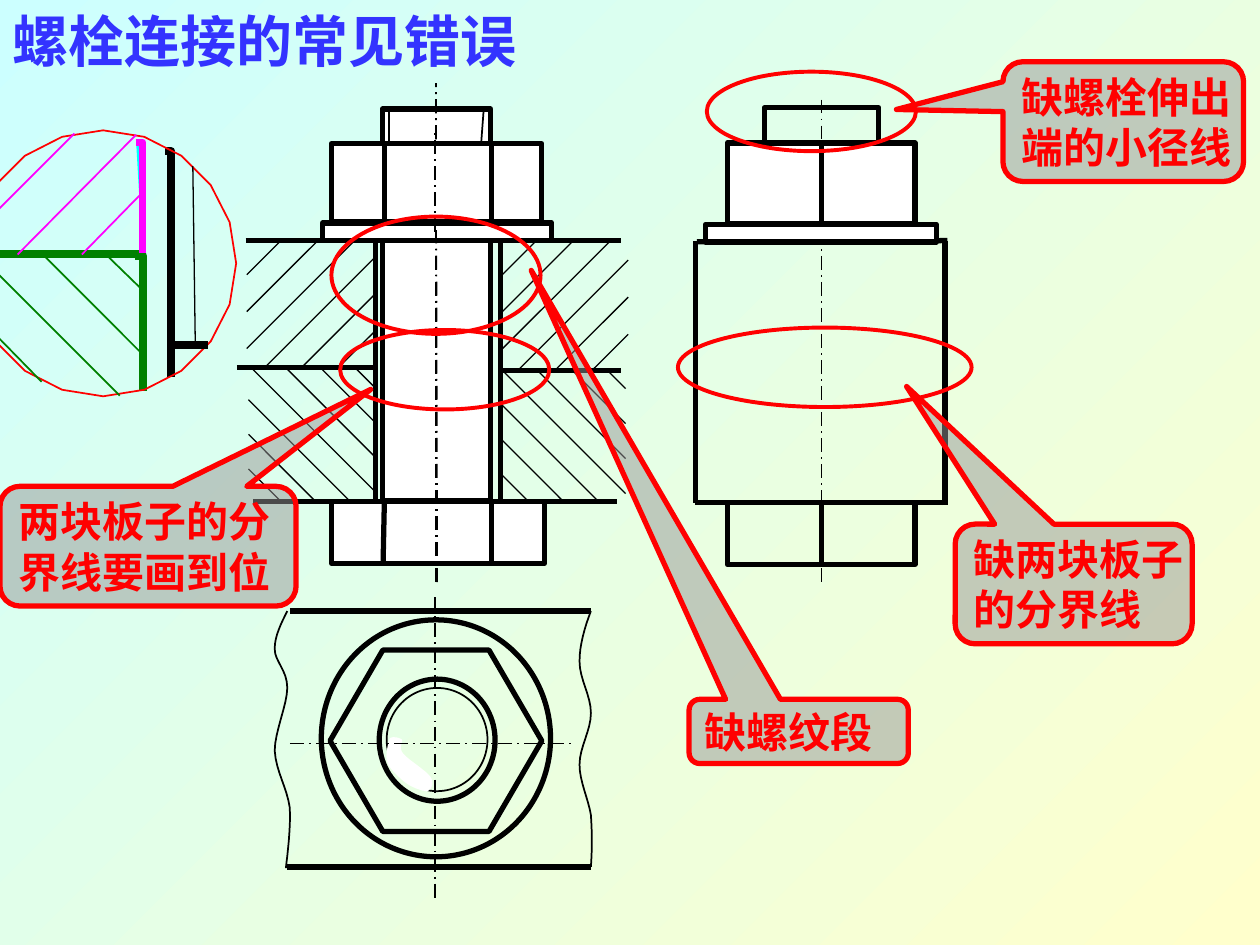
from math import cos, pi, sin
from pptx import Presentation
from pptx.dml.color import RGBColor
from pptx.enum.dml import MSO_LINE
from pptx.enum.shapes import MSO_CONNECTOR, MSO_SHAPE
from pptx.enum.text import MSO_ANCHOR, PP_ALIGN
from pptx.oxml.xmlchemy import OxmlElement
from pptx.util import Pt

RECT = MSO_SHAPE.RECTANGLE
OVAL = MSO_SHAPE.OVAL
HEXAGON = MSO_SHAPE.HEXAGON
CALLOUT = MSO_SHAPE.ROUNDED_RECTANGULAR_CALLOUT
LINE = MSO_CONNECTOR.STRAIGHT
DASH_DOT = MSO_LINE.LONG_DASH_DOT

COLORS = {
    "black": "000000", "white": "FFFFFF", "red": "FF0000", "green": "008000",
    "magenta": "FF00FF", "cyan": "00FFFF", "grey": "969696", "title": "3333FF",
    "bg_start": "CCFFFF", "bg_end": "FFFFCC",
}
RGB = {name: RGBColor.from_string(value) for name, value in COLORS.items()}

prs = Presentation()
prs.slide_width, prs.slide_height = Pt(720), Pt(540)
s = prs.slides.add_slide(prs.slide_layouts[6])
bg = s.background.fill
bg.gradient()
bg.gradient_angle = 315
for stop, name in zip(bg.gradient_stops, ("bg_start", "bg_end")):
    stop.color.rgb = RGB[name]


def style(sp, color, width, fill=None):
    sp.shadow.inherit = False
    if fill:
        sp.fill.solid()
        sp.fill.fore_color.rgb = RGB[fill]
    else:
        sp.fill.background()
    if color:
        sp.line.color.rgb = RGB[color]
        sp.line.width = Pt(width)
    else:
        sp.line.fill.background()


def draw(kind, a, b, c, d, width=3, color="black", fill=None, dash=None):
    box = [Pt(v) for v in (a, b, c, d)]
    if kind is LINE:
        sp = s.shapes.add_connector(LINE, *box)
        sp.line.color.rgb = RGB[color]
        sp.line.width = Pt(width)
        if dash:
            sp.line.dash_style = dash
        sp._element.spPr.append(OxmlElement("a:effectLst"))
    else:
        sp = s.shapes.add_shape(kind, *box)
        style(sp, color, width, fill)
    return sp


draw(OVAL, 221, 393.1, 57.6, 59, 1)

thread_gap = [
    (222.5, 422.6), (222.5, 420.5), (228.2, 421.2), (229.7, 422.6),
    (230.4, 424.1), (227.5, 427), (230.4, 430.6), (233.3, 434.2),
    (244.1, 440.6), (246.2, 444.2), (248.4, 447.8), (246.2, 451.4),
    (244.1, 452.2), (241.9, 452.2), (235.4, 450), (232.6, 447.8),
    (230.4, 446.4), (228.2, 444.2), (226.1, 442.1), (223.9, 439.9),
    (221.8, 437.8), (221, 434.2), (220.3, 431.3), (221.8, 424.8), (222.5, 422.6)]
left_break = [
    (164.2, 349.2), (160.6, 356.4), (157, 363.6), (157, 370.8),
    (157, 378), (164.2, 383), (164.2, 393.1), (164.2, 402.5),
    (157, 418.3), (157, 429.1), (157.7, 440.6), (164.2, 450.7),
    (165.6, 461.5), (166.3, 473), (164.2, 488.9), (163.4, 496.1)]
right_break = [
    (337.7, 349.2), (334.1, 358.6), (331.2, 368.6), (331.2, 378),
    (331.2, 388.1), (337.7, 397.4), (337.7, 407.5), (337.7, 417.6),
    (331.2, 427), (331.2, 437), (331.2, 446.4), (336.2, 456.5),
    (337.7, 465.8), (338.4, 475.9), (338.4, 485.3), (337.7, 495.4)]

outlines = []
for controls, color, fill in (
        (thread_gap, None, "white"), (left_break, "black", None),
        (right_break, "black", None)):
    curve = controls[:1]
    for i in range(0, len(controls) - 1, 3):
        for t in (k / 8 for k in range(1, 9)):
            weights = ((1 - t) ** 3, 3 * t * (1 - t) ** 2, 3 * t * t * (1 - t), t ** 3)
            curve.append(tuple(
                sum(w * q[axis] for w, q in zip(weights, controls[i:i + 4]))
                for axis in (0, 1)))
    outlines.append((curve, color, 1, fill))

detail_edge = [(59 + 76 * cos(k * pi / 10), 150.5 + 76 * sin(k * pi / 10))
               for k in range(21)]
outlines += [
    ([(82, 223.2), (82, 146.2), (77, 146.2)], "green", 4.5, None),
    ([(97.9, 215.3), (97.9, 86.4), (94.3, 86.4)], "black", 4.5, None),
    (detail_edge, "red", 1, None),
    ([(81.4, 144.7), (81.4, 81.4), (77.8, 81.4)], "magenta", 4.5, "cyan"),
]
for points, color, width, fill in outlines:
    points = [(Pt(x), Pt(y)) for x, y in points]
    builder = s.shapes.build_freeform(*points[0])
    builder.add_line_segments(points[1:], close=fill == "white")
    style(builder.convert_to_shape(), color, width, fill)

for row in (
        (-16.6, 145.4, 79.2, 145.4, 4.5, "green"),
        (-15.1, 133.9, 42.5, 76.3, 1, "magenta"),
        (10.1, 145.4, 77.8, 77, 1, "magenta"),
        (46.8, 145.4, 82, 109.4, 1, "magenta"),
        (23.8, 218.2, -7.9, 185.8, 1, "green"),
        (68.4, 226.1, -12.2, 145.4, 1, "green"),
        (82, 203, 24.5, 145.4, 1, "green"),
        (82, 166.3, 60.5, 145.4, 1, "green"),
        (97.9, 197.3, 118.8, 197.3, 4.5),
        (110.2, 95, 111.6, 197.3, 0.75),
        (140.4, 137.5, 355, 137.5), (144.7, 286.6, 352.8, 286.6),
        (135.4, 210.2, 213.1, 210.2), (285.8, 211.7, 355, 211.7),
        (285.8, 138.2, 285.8, 286.6), (214.6, 136.8, 214.6, 286.6),
        (165.6, 349.2, 337.7, 349.2), (164.2, 495.4, 337.7, 495.4)):
    draw(LINE, *row)

for slope, first, step, count, left, top, right, bottom in (
        (-1, 298, 21.1, 6, 141, 137, 214, 211),
        (-1, 444, 21.2, 6, 286, 137, 359, 210.5),
        (1, -7.2, -19.8, 7, 142, 211, 214, 286),
        (1, 135.4, -20, 7, 286, 211, 357.5, 286.5)):
    for k in range(count):
        offset = first + k * step
        low, high = sorted((slope * top + offset, slope * bottom + offset))
        x1, x2 = max(left, low), min(right, high)
        draw(LINE, x1, slope * (x1 - offset), x2, slope * (x2 - offset), 0.75)

for kind, *row in (
        (RECT, 218.5, 62.3, 61.9, 223.9, 3, "black", "white"),
        (RECT, 189.4, 286.6, 121.7, 35.3, 3, "black", "white"),
        (LINE, 222.5, 82.1, 222.5, 61.2, 1), (LINE, 275, 81.4, 276.5, 61.2, 1),
        (LINE, 249.8, 332.6, 249.1, 47.5, 1, "black", None, DASH_DOT),
        (LINE, 219.6, 288, 218.9, 322.6), (LINE, 280.8, 286.6, 280.8, 322.6),
        (RECT, 184.3, 127.4, 131, 10.1, 3, "black", "white"),
        (LINE, 165.6, 424.8, 326.2, 424.8, 1, "black", None, DASH_DOT),
        (LINE, 248.4, 341.3, 248.4, 513.4, 1, "black", None, DASH_DOT),
        (OVAL, 183.6, 354.2, 131, 135.4),
        (LINE, 249.1, 332.6, 249.1, 51.8, 1, "black", None, DASH_DOT),
        (OVAL, 216.7, 388.1, 66.2, 69.8),
        (RECT, 189.4, 82.1, 120.2, 44.6, 3, "black", "white"),
        (LINE, 219.6, 127.4, 219.6, 82.1), (LINE, 280.8, 127.4, 280.8, 82.1),
        (LINE, 248.4, 132.5, 248.4, 76.3, 1, "black", None, DASH_DOT),
        (LINE, 469.4, 56.9, 469.4, 333.4, 1, "black", None, DASH_DOT),
        (RECT, 436.7, 61.6, 65.5, 56.2),
        (LINE, 398.2, 138.2, 541.4, 137.5),
        (RECT, 403.2, 128.2, 131.8, 10.1, 3, "black", "white"),
        (LINE, 540, 288.7, 540, 137.5), (LINE, 397.4, 287.3, 397.4, 137.5),
        (LINE, 397.4, 287.3, 540, 287.3)):
    draw(kind, *row)

plan_nut = draw(HEXAGON, 188.6, 371.5, 121, 103.7)
plan_nut.adjustments[0] = 0.291

for top, height, fill in ((81.7, 46.1, "white"), (287.3, 35.3, None)):
    side = draw(RECT, 415.6, top, 107.3, height, 3, "black", fill)
    edge = draw(LINE, 469.25, top, 469.25, top + height)
    edge.begin_connect(side, 0)
    edge.end_connect(side, 2)

for box in ((194.4, 188.6, 119.5, 45.4), (403.9, 41, 119.5, 45.4),
            (387.4, 187.2, 167.8, 45.4), (189.4, 123.8, 119.5, 67)):
    draw(OVAL, *box, 2.25, "red")

labels = []
for box, adjustments, lines in (
        ((0, 277.9, 169.2, 68.4), (0.752, -1.31, 0.167), ("两块板子的分", "界线要画到位")),
        ((573.1, 35.3, 137.5, 68.4), (-0.943, -0.101, 0.167), ("缺螺栓伸出", "端的小径线")),
        ((545.8, 299.5, 135.4, 68.4), (-0.705, -1.65, 0.167), ("缺两块板子", "的分界线")),
        ((393.8, 399.6, 125.3, 36.7), (-1.22, -7.177, 0.167), ("缺螺纹段",))):
    sp = draw(CALLOUT, *box, 3, "red", "grey")
    for i, value in enumerate(adjustments):
        sp.adjustments[i] = value
    alpha = OxmlElement("a:alpha")
    alpha.set("val", "50000")
    sp._element.spPr.find(".//{*}solidFill/{*}srgbClr").append(alpha)
    labels.append((sp, lines, 24, "red", False))

title = s.shapes.add_textbox(Pt(0), Pt(0), Pt(373.7), Pt(46.1))
labels.append((title, ("螺栓连接的常见错误",), 32, "title", True))

FRAME = {"vertical_anchor": MSO_ANCHOR.MIDDLE, "margin_left": Pt(7.2),
         "margin_right": Pt(7.2), "margin_top": Pt(3.6), "margin_bottom": Pt(3.6)}
for sp, lines, size, color, wrap in labels:
    tf = sp.text_frame
    for name, value in {**FRAME, "word_wrap": wrap}.items():
        setattr(tf, name, value)
    for i, line in enumerate(lines):
        p = tf.add_paragraph() if i else tf.paragraphs[0]
        p.alignment = PP_ALIGN.LEFT
        r = p.add_run()
        r.text = line
        for name, value in {"name": "Times New Roman", "size": Pt(size), "bold": True}.items():
            setattr(r.font, name, value)
        r.font.color.rgb = RGB[color]

prs.save("out.pptx")
